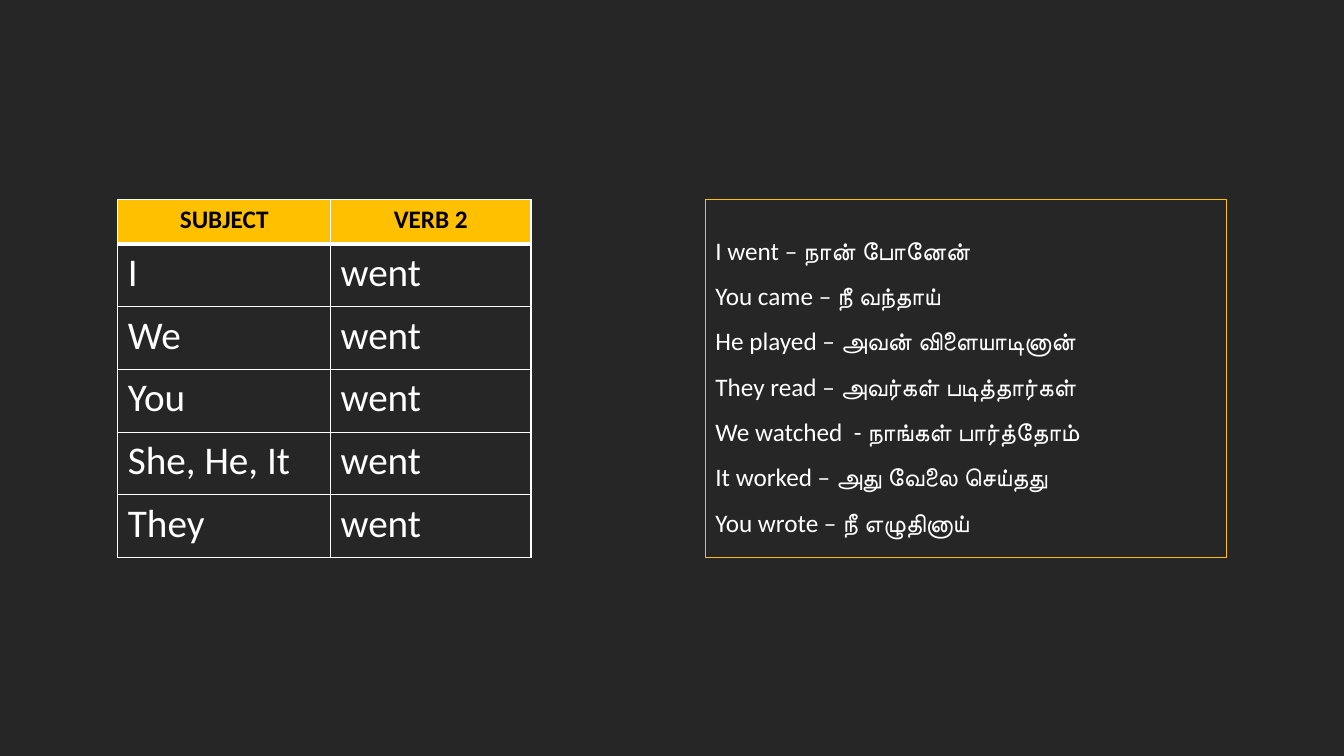
import pptx
import pptx.util
from lxml import etree
from pptx.dml.color import RGBColor
from pptx.enum.shapes import MSO_SHAPE
from pptx.enum.text import MSO_ANCHOR, PP_ALIGN
from pptx.oxml.ns import qn
from pptx.util import Cm, Pt

HEADER = ("SUBJECT", "VERB 2")
SUBJECTS = ["I", "We", "You", "She, He, It", "They"]
VERB = "went"
EXAMPLES = [
    "I went – நான் போனேன்",
    "You came – நீ வந்தாய்",
    "He played – அவன் விளையாடினான்",
    "They read – அவர்கள் படித்தார்கள்",
    "We watched  - நாங்கள் பார்த்தோம்",
    "It worked – அது வேலை செய்தது",
    "You wrote – நீ எழுதினாய்",
]

FONT = "Calibri"
DARK = RGBColor(0x26, 0x26, 0x26)
AMBER = RGBColor(0xFF, 0xC0, 0x00)
WHITE = RGBColor(0xFF, 0xFF, 0xFF)
BLACK = RGBColor(0x00, 0x00, 0x00)

TOP = Cm(5.03)
TABLE_LEFT = Cm(2.97)
COLUMN_WIDTHS = (Cm(5.36), Cm(5.05))
HEADER_HEIGHT = Cm(1.12)
ROW_HEIGHT = Cm(1.58)
EXAMPLES_LEFT, EXAMPLES_WIDTH = Cm(17.78), Cm(13.13)


def style(paragraph, size, color, bold=False):
    paragraph.font.name = FONT
    paragraph.font.size = Pt(size)
    paragraph.font.color.rgb = color
    paragraph.font.bold = bold


def set_borders(cell, **widths):
    """Draw white borders; widths are points keyed by side L, R, T, B."""
    properties = cell._tc.get_or_add_tcPr()
    # Border elements must come before the fill, in this order.
    for position, side in enumerate("LRTB"):
        border = etree.Element(qn(f"a:ln{side}"), w=str(Pt(widths.get(side, 1))))
        solid = etree.SubElement(border, qn("a:solidFill"))
        etree.SubElement(solid, qn("a:srgbClr"), val=str(WHITE))
        properties.insert(position, border)


def add_verb_table(slide):
    rows = [HEADER] + [(subject, VERB) for subject in SUBJECTS]
    height = HEADER_HEIGHT + ROW_HEIGHT * len(SUBJECTS)
    table = slide.shapes.add_table(
        len(rows), len(HEADER), TABLE_LEFT, TOP, sum(COLUMN_WIDTHS), height
    ).table
    table.horz_banding = False
    for column, width in zip(table.columns, COLUMN_WIDTHS):
        column.width = width
    for r, words in enumerate(rows):
        table.rows[r].height = ROW_HEIGHT if r else HEADER_HEIGHT
        for c, word in enumerate(words):
            cell = table.cell(r, c)
            cell.text = word
            paragraph = cell.text_frame.paragraphs[0]
            if r == 0:
                cell.fill.solid()
                cell.fill.fore_color.rgb = AMBER
                paragraph.alignment = PP_ALIGN.CENTER
                style(paragraph, 18, BLACK, bold=True)
                set_borders(cell, B=3)
            else:
                cell.fill.background()
                style(paragraph, 28, WHITE)
                set_borders(cell, T=3 if r == 1 else 1)


def add_examples(slide):
    height = HEADER_HEIGHT + ROW_HEIGHT * len(SUBJECTS)
    box = slide.shapes.add_shape(
        MSO_SHAPE.RECTANGLE, EXAMPLES_LEFT, TOP, EXAMPLES_WIDTH, height
    )
    box.shadow.inherit = False
    box.fill.background()
    box.line.color.rgb = AMBER
    box.line.width = Pt(1)
    frame = box.text_frame
    frame.word_wrap = True
    frame.vertical_anchor = MSO_ANCHOR.MIDDLE
    frame.text = "\n".join(EXAMPLES)
    for paragraph in frame.paragraphs:
        paragraph.alignment = PP_ALIGN.LEFT
        paragraph.line_spacing = 1.5
        style(paragraph, 18, WHITE)


def main():
    deck = pptx.Presentation()
    deck.slide_width, deck.slide_height = Cm(33.87), Cm(19.05)
    slide = deck.slides.add_slide(deck.slide_layouts[6])
    slide.background.fill.solid()
    slide.background.fill.fore_color.rgb = DARK
    add_examples(slide)
    add_verb_table(slide)
    deck.save("out.pptx")


if __name__ == "__main__":
    main()
